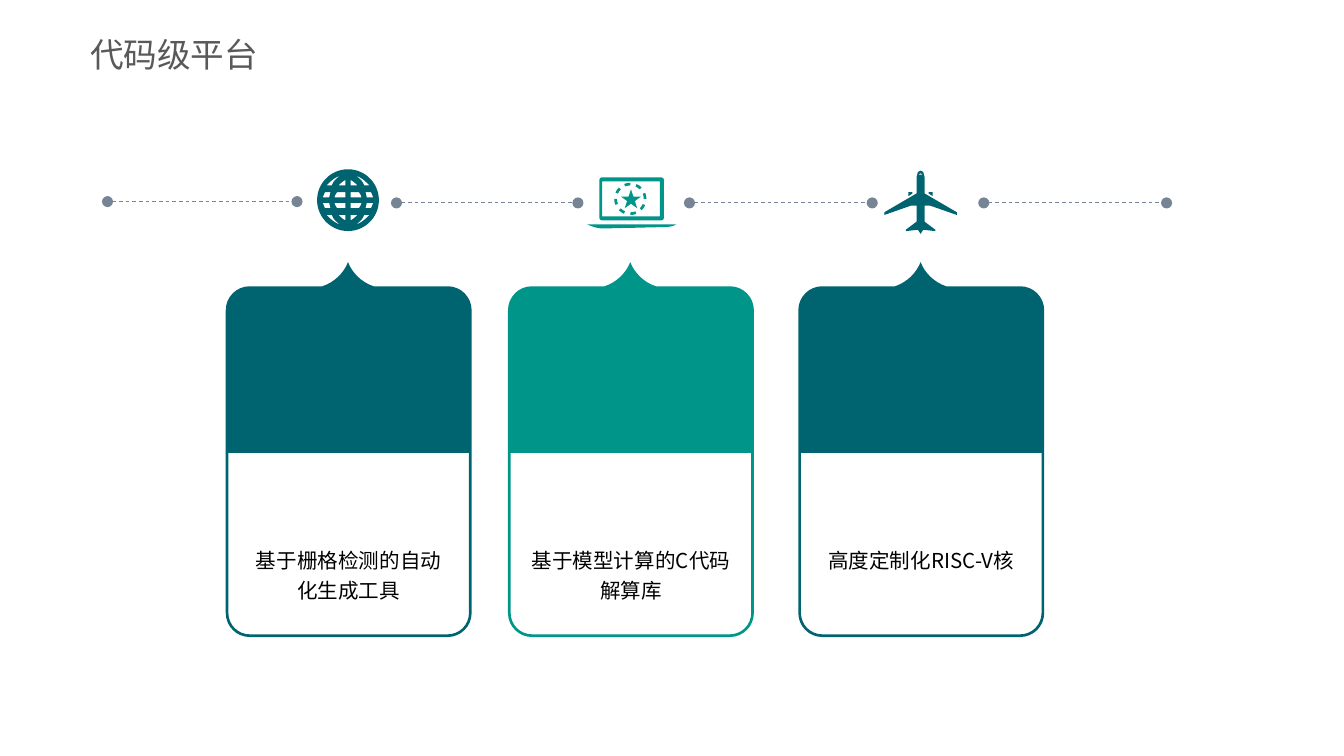
from dataclasses import dataclass
from itertools import product
from math import cos, radians, sin

from lxml.etree import SubElement
from pptx import Presentation
from pptx.dml.color import RGBColor
from pptx.enum.dml import MSO_LINE
from pptx.enum.shapes import MSO_CONNECTOR as Connector, MSO_SHAPE as Preset
from pptx.enum.text import MSO_ANCHOR as Anchor, PP_ALIGN as Align
from pptx.oxml.ns import qn
from pptx.util import Inches, Pt


@dataclass(frozen=True)
class Theme:
    font: str = "Noto Sans CJK SC"
    title_size: int = 18
    card_size: int = 11
    title: RGBColor = RGBColor(0x59, 0x59, 0x59)
    text: RGBColor = RGBColor(0, 0, 0)
    dark: RGBColor = RGBColor(0x00, 0x64, 0x70)
    light: RGBColor = RGBColor(0x00, 0x95, 0x89)
    line: RGBColor = RGBColor(0x77, 0x84, 0x95)


theme = Theme()
presentation = Presentation()
presentation.slide_width = Inches(10)
presentation.slide_height = presentation.slide_width * 9 // 16
slide = presentation.slides.add_slide(presentation.slide_layouts[5])


def write_text(shape, text, size, color, align=Align.LEFT, anchor=Anchor.TOP,
               spacing=1.0, insets=(0, 0.05, 0, 0.05)):
    frame = shape.text_frame
    frame.word_wrap = True
    frame.vertical_anchor = anchor
    frame.margin_left, frame.margin_top, frame.margin_right, frame.margin_bottom = map(Inches, insets)
    paragraph = frame.paragraphs[0]
    paragraph.alignment = align
    paragraph.line_spacing = spacing
    run = paragraph.add_run()
    run.text = text
    run.font.size = Pt(size)
    run.font.color.rgb = color
    run.font.name = theme.font
    SubElement(run.font._element, qn("a:ea"), typeface=theme.font)


def draw_outline(contours, color, left=0, top=0):
    builder = None
    for contour in contours:
        points = []
        for step in contour:
            if len(step) == 2:
                points.append(step)
                continue
            start, first, second, end = points[-1], step[:2], step[2:4], step[4:]
            for part in range(1, 9):
                t = part / 8
                points.append(tuple(
                    (1 - t) ** 3 * a + 3 * (1 - t) ** 2 * t * b + 3 * (1 - t) * t ** 2 * c + t ** 3 * d
                    for a, b, c, d in zip(start, first, second, end)))
        points = [(Inches(left + x), Inches(top + y)) for x, y in points]
        if builder is None:
            builder = slide.shapes.build_freeform(*points[0])
        else:
            builder.move_to(*points[0])
        builder.add_line_segments(points[1:], close=True)
    shape = builder.convert_to_shape()
    shape.shadow.inherit = False
    shape.fill.solid()
    shape.fill.fore_color.rgb = color
    shape.line.fill.background()
    return shape


title = slide.shapes.title
title.left, title.top, title.width, title.height = map(Inches, (0.67, 0.19, 2.33, 0.42))
write_text(title, "代码级平台", theme.title_size, theme.title, anchor=Anchor.MIDDLE)

for start, end, height in [(0.8, 2.21, 1.5), (2.95, 4.3, 1.51), (5.13, 6.49, 1.51), (7.32, 8.68, 1.51)]:
    connector = slide.shapes.add_connector(
        Connector.STRAIGHT, Inches(start), Inches(height), Inches(end), Inches(height))
    connector.line.color.rgb = theme.line
    connector.line.width = Pt(0.5)
    connector.line.dash_style = MSO_LINE.DASH
    outline = connector.line._get_or_add_ln()
    for tag in ("a:headEnd", "a:tailEnd"):
        SubElement(outline, qn(tag), type="oval")
    SubElement(connector._element.spPr, qn("a:effectLst"))

globe_rim = [(0.23 * cos(radians(angle)), 0.23 * sin(radians(angle))) for angle in range(0, 360, 6)]
globe_cells = [
    [(0.02, 0.02), (0.1, 0.02), (0.1, 0.03, 0.09, 0.05, 0.08, 0.06), (0.02, 0.06)],
    [(0.14, 0.02), (0.19, 0.02), (0.18, 0.03, 0.18, 0.05, 0.17, 0.06), (0.13, 0.06)],
    [(0.02, 0.15), (0.02, 0.11), (0.07, 0.11), (0.05, 0.13, 0.04, 0.14, 0.02, 0.15)],
    [(0.06, 0.18), (0.09, 0.16, 0.11, 0.14, 0.12, 0.11), (0.16, 0.11), (0.13, 0.14, 0.1, 0.17, 0.06, 0.18)],
]
globe = [globe_rim]
for cell, across, down in product(globe_cells, (1, -1), (1, -1)):
    signs = (across, down) * 3
    globe.append([tuple(value * sign for value, sign in zip(step, signs)) for step in cell])
draw_outline(globe, theme.dark, 2.59, 1.49)

laptop_base = [(0, 0), (0, 0, 0.06, 0.03, 0.11, 0.03), (0.17, 0.03, 0.57, 0.02, 0.57, 0.02),
               (0.57, 0.02, 0.64, 0.02, 0.66, 0)]
draw_outline([laptop_base], theme.light, 4.37, 1.67)
laptop_screen = [
    [(0.02, 0.32), (0.46, 0.32), (0.47, 0.32, 0.48, 0.31, 0.48, 0.3), (0.48, 0.02),
     (0.48, 0.01, 0.47, 0, 0.46, 0), (0.02, 0), (0.01, 0, 0, 0.01, 0, 0.02), (0, 0.3),
     (0, 0.31, 0.01, 0.32, 0.02, 0.32)],
    [(0.02, 0.03), (0.45, 0.03), (0.45, 0.29), (0.02, 0.29)],
]
draw_outline(laptop_screen, theme.light, 4.46, 1.32)
for start in range(23, 360, 45):
    angles = [radians(start + turn) for turn in (0, 11, 22)]
    dash = [(0.12 * cos(angle), 0.12 * sin(angle)) for angle in angles]
    dash += [(0.1 * cos(angle), 0.1 * sin(angle)) for angle in reversed(angles)]
    draw_outline([dash], theme.light, 4.69, 1.48)
star = slide.shapes.add_shape(Preset.STAR_5_POINT, Inches(4.62), Inches(1.41), Inches(0.15), Inches(0.14))
star.shadow.inherit = False
star.fill.solid()
star.fill.fore_color.rgb = theme.light
star.line.fill.background()

plane_side = [(0, 0), (0.02, 0.01), (0.03, 0.05), (0.03, 0.17), (0.27, 0.31), (0.27, 0.33),
              (0.07, 0.26), (0.03, 0.26), (0.03, 0.38), (0.11, 0.44), (0.11, 0.45),
              (0.02, 0.44), (0, 0.47)]
plane_body = plane_side + [(-x, y) for x, y in reversed(plane_side)]
plane_window = [(-0.02, 0.03), (0, 0.02), (0.02, 0.03)]
draw_outline([plane_body, plane_window], theme.dark, 6.85, 1.27)
for side in (-1, 1):
    flap = [(side * x, y) for x, y in [(0.06, 0.17), (0.09, 0.19), (0.09, 0.16), (0.06, 0.16)]]
    draw_outline([flap], theme.dark, 6.85, 1.27)

card_outline = [
    [(1.65, 0.18), (1.1, 0.18), (1.01, 0.15, 0.94, 0.08, 0.91, 0),
     (0.88, 0.08, 0.81, 0.15, 0.72, 0.18), (0.18, 0.18), (0.08, 0.18, 0, 0.26, 0, 0.36),
     (0, 2.61), (0, 2.71, 0.08, 2.79, 0.18, 2.79), (1.65, 2.79),
     (1.75, 2.79, 1.83, 2.71, 1.83, 2.61), (1.83, 0.36), (1.83, 0.26, 1.75, 0.18, 1.65, 0.18)],
    [(1.81, 2.61), (1.81, 2.7, 1.74, 2.77, 1.65, 2.77), (0.18, 2.77),
     (0.09, 2.77, 0.02, 2.7, 0.02, 2.61), (0.02, 1.42), (1.81, 1.42)],
]
cards = [
    (1.68, theme.dark, "基于栅格检测的自动化生成工具"),
    (3.78, theme.light, "基于模型计算的C代码解算库"),
    (5.94, theme.dark, "高度定制化RISC-V核"),
]
for left, color, text in cards:
    card = draw_outline(card_outline, color, left, 1.95)
    write_text(card, text, theme.card_size, theme.text, align=Align.CENTER, spacing=1.2,
               insets=(0.16, 2.09, 0.16, 0.07))

presentation.save("out.pptx")
